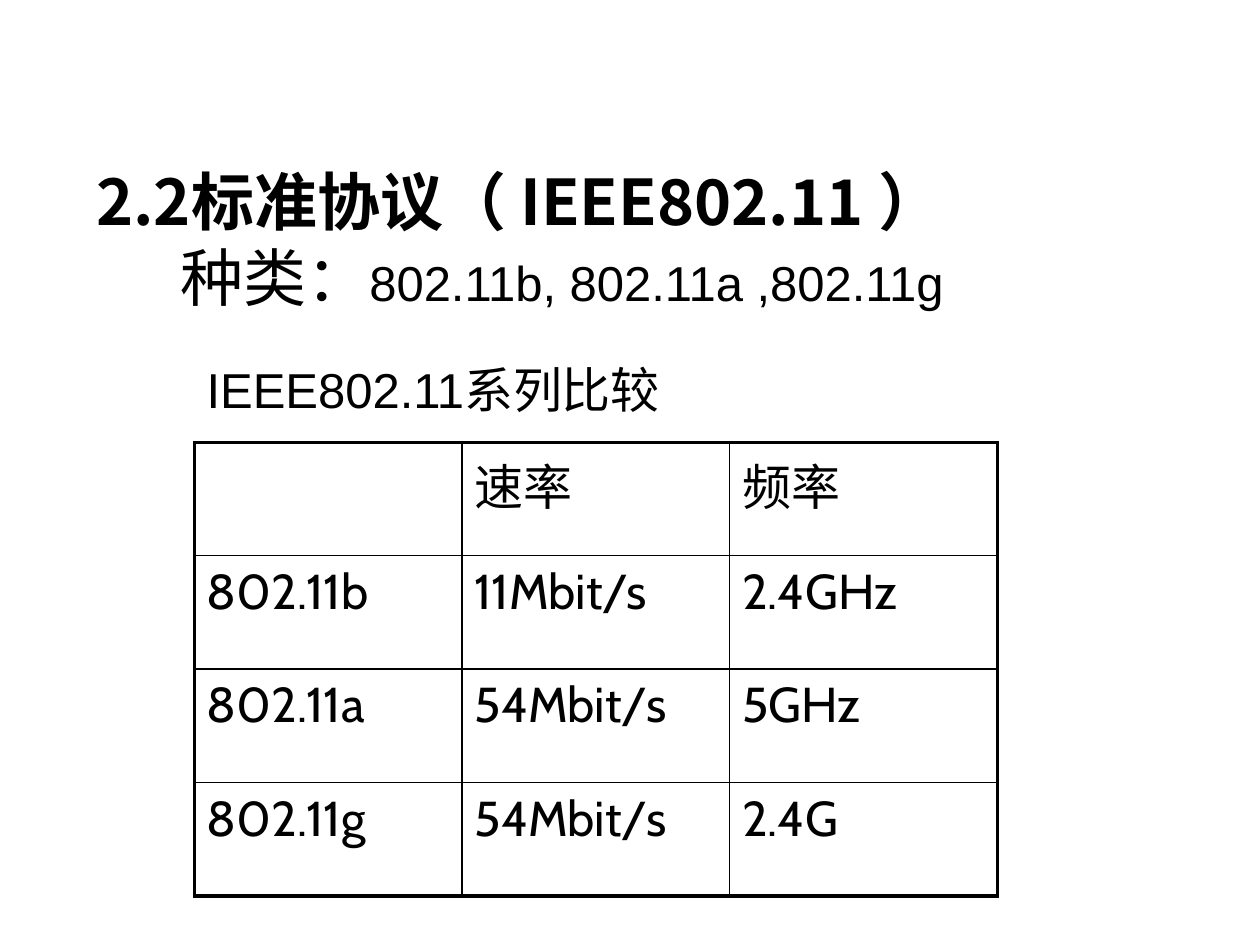
from dataclasses import dataclass

from lxml import etree
from pptx import Presentation
from pptx.dml.color import RGBColor
from pptx.enum.text import MSO_ANCHOR
from pptx.oxml.ns import qn
from pptx.util import Pt

TOP, MIDDLE = MSO_ANCHOR.TOP, MSO_ANCHOR.MIDDLE
BLACK = "000000"
CJK_FONT = "Noto Sans CJK SC"
THIN, THICK = 1, 2.25


@dataclass
class Span:
    text: str
    size: float = 28
    name: str = "Arial"
    bold: bool = False


@dataclass
class Line:
    spans: list[Span]
    format: dict


@dataclass
class TextBlock:
    left: float
    top: float
    width: float
    height: float
    anchor: int
    lines: list[Line]


def color(value: str) -> RGBColor:
    return RGBColor.from_string(value)


def add_spans(para, spans: list[Span]) -> None:
    for item in spans:
        span = para.add_run()
        span.text = item.text
        font = {"size": Pt(item.size), "name": item.name, "bold": item.bold}
        for key, value in font.items():
            setattr(span.font, key, value)
        span.font.color.rgb = color(BLACK)
        east_asian = etree.SubElement(span.font._element, qn("a:ea"))
        east_asian.set("typeface", CJK_FONT)


def add_text(page, block: TextBlock) -> None:
    box = page.shapes.add_textbox(
        Pt(block.left), Pt(block.top), Pt(block.width), Pt(block.height))
    frame = box.text_frame
    frame.word_wrap = True
    frame.vertical_anchor = block.anchor
    for index, line in enumerate(block.lines):
        para = frame.add_paragraph() if index else frame.paragraphs[0]
        for key, value in line.format.items():
            setattr(para, key, value)
        add_spans(para, line.spans)


def indent(para, left: float) -> None:
    para._p.get_or_add_pPr().set("marL", str(Pt(left)))


def set_borders(cell, widths: dict[str, float]) -> None:
    properties = cell._tc.get_or_add_tcPr()
    for index, (side, width) in enumerate(widths.items()):
        border = etree.Element(qn(f"a:ln{side}"), w=str(Pt(width)))
        fill = etree.SubElement(border, qn("a:solidFill"))
        etree.SubElement(fill, qn("a:srgbClr"), val=BLACK)
        properties.insert(index, border)


def add_grid(page, left: float, top: float, column_width: float,
             row_height: float, rows: list[list[str]]) -> None:
    row_count, column_count = len(rows), len(rows[0])
    table = page.shapes.add_table(
        row_count, column_count, Pt(left), Pt(top),
        Pt(column_width * column_count), Pt(row_height * row_count)).table
    table.first_row = table.horz_banding = False
    for column in table.columns:
        column.width = Pt(column_width)
    for r, values in enumerate(rows):
        table.rows[r].height = Pt(row_height)
        for c, value in enumerate(values):
            cell = table.cell(r, c)
            cell.vertical_anchor = TOP
            cell.fill.background()
            # Outer edges are thick, inner ones thin
            outer = {"L": c == 0, "R": c == column_count - 1,
                     "T": r == 0, "B": r == row_count - 1}
            set_borders(cell, {side: THICK if edge else THIN
                               for side, edge in outer.items()})
            if value:
                add_spans(cell.text_frame.paragraphs[0],
                          [Span(value, name="Cabin")])


def main() -> None:
    deck = Presentation()
    deck.slide_width, deck.slide_height = Pt(720), Pt(540)
    page = deck.slides.add_slide(deck.slide_layouts[6])

    # Heading and list of protocols
    heading = Line([Span("2.2标准协议（ IEEE802.11 ）", 36, CJK_FONT, True)],
                   {"line_spacing": 0.9})
    kinds = Line([Span("种类：", 36), Span("802.11b, 802.11a ,802.11g")],
                 {"line_spacing": 0.9, "space_before": Pt(4)})
    add_text(page, TextBlock(48, 94.5, 612, 96.5, TOP, [heading, kinds]))
    indent(page.shapes[0].text_frame.paragraphs[1], 48)

    # Table caption
    caption = Line([Span("IEEE802.11系列比较")], {})
    add_text(page, TextBlock(111, 196.5, 392, 51, MIDDLE, [caption]))

    # Comparison table
    add_grid(page, 111, 252.75, 153, 64.8, [
        ["", "速率", "频率"],
        ["802.11b", "11Mbit/s", "2.4GHz"],
        ["802.11a", "54Mbit/s", "5GHz"],
        ["802.11g", "54Mbit/s", "2.4G"],
    ])

    deck.save("out.pptx")


if __name__ == "__main__":
    main()
